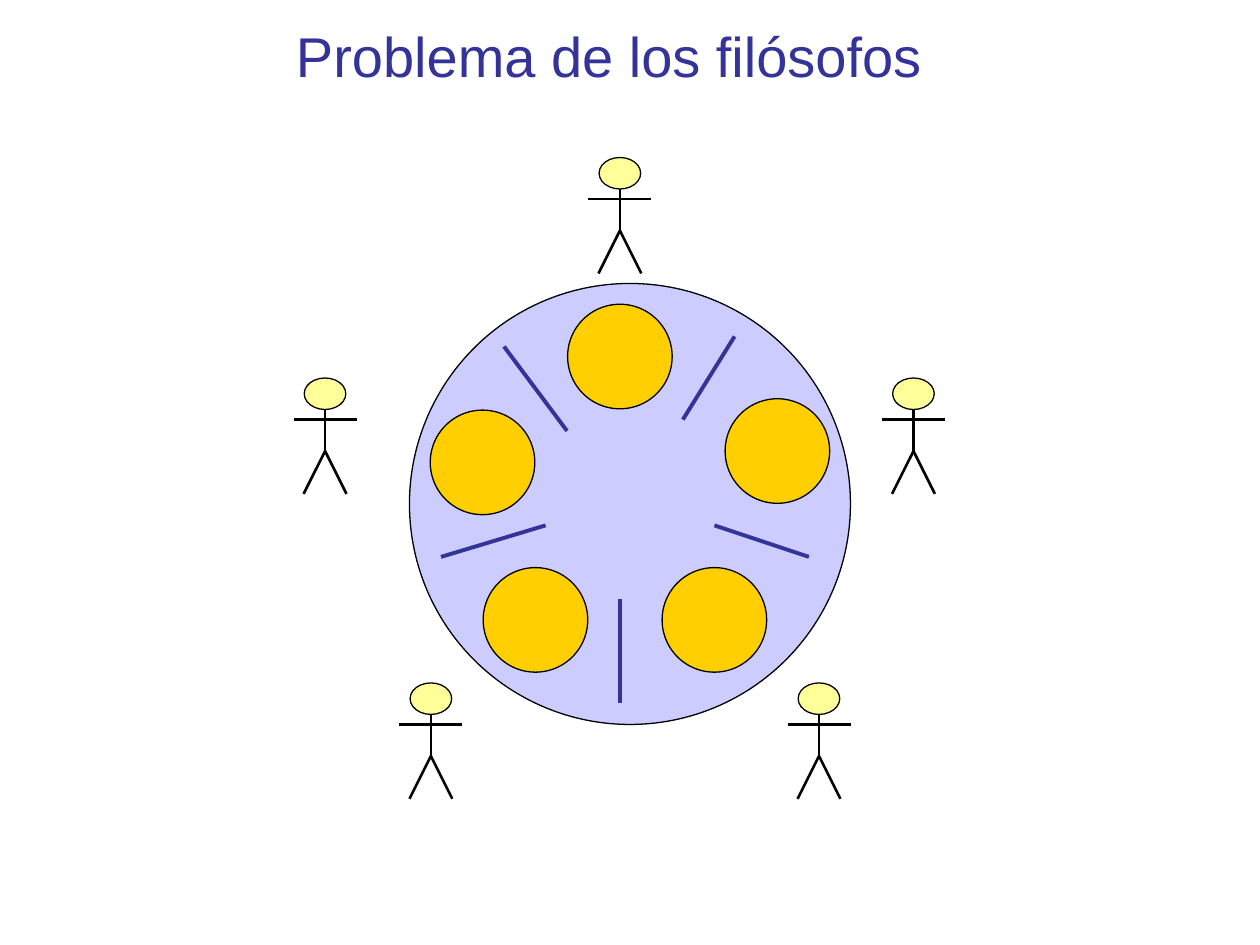
"""Build the dining philosophers slide: a table, plates, forks and five people."""
from typing import NamedTuple

from lxml import etree
from pptx import Presentation
from pptx.dml.color import RGBColor
from pptx.enum.shapes import MSO_CONNECTOR, MSO_SHAPE
from pptx.enum.text import MSO_ANCHOR, PP_ALIGN
from pptx.oxml.ns import qn
from pptx.shapes.shapetree import GroupShapes, SlideShapes
from pptx.util import Inches, Pt

OVAL = MSO_SHAPE.OVAL
STRAIGHT = MSO_CONNECTOR.STRAIGHT
CENTER = PP_ALIGN.CENTER
BOTTOM = MSO_ANCHOR.BOTTOM

BLACK = "000000"
INDIGO = "333399"
TABLE_FILL = "CCCCFF"
PLATE_FILL = "FFCF01"
HEAD_FILL = "FFFF99"

TABLE_SIZE = 3.5
PLATE_SIZE = 0.83
HEAD_WIDTH, HEAD_HEIGHT = 0.33, 0.25


class Point(NamedTuple):
    """A position on the slide in inches."""
    x: float
    y: float


class Fork(NamedTuple):
    """The two ends of a fork."""
    start: Point
    end: Point


TABLE_CENTER = Point(5, 4)
PLATE_CENTERS = [
    Point(4.92, 2.83), Point(3.83, 3.67), Point(6.17, 3.58),
    Point(5.67, 4.92), Point(4.25, 4.92),
]
FORKS = [
    Fork(Point(3.5, 4.42), Point(4.33, 4.17)),
    Fork(Point(4, 2.75), Point(4.5, 3.42)),
    Fork(Point(5.42, 3.33), Point(5.83, 2.67)),
    Fork(Point(5.67, 4.17), Point(6.42, 4.42)),
    Fork(Point(4.92, 5.58), Point(4.92, 4.75)),
]
PHILOSOPHER_TOPS = [
    Point(4.92, 1.25), Point(2.58, 3), Point(3.42, 5.42),
    Point(7.25, 3), Point(6.5, 5.42),
]


def color(hex_value: str) -> RGBColor:
    """Turn a hex string into a colour."""
    return RGBColor.from_string(hex_value)


def draw_oval(shapes: SlideShapes | GroupShapes, center: Point,
              width: float, height: float, fill: str) -> None:
    """Draw a filled oval with a thin black outline around its centre."""
    oval = shapes.add_shape(
        OVAL, Inches(center.x - width / 2), Inches(center.y - height / 2),
        Inches(width), Inches(height))
    oval.shadow.inherit = False
    oval.fill.solid()
    oval.fill.fore_color.rgb = color(fill)
    oval.line.color.rgb = color(BLACK)
    oval.line.width = Pt(0.75)


def draw_line(shapes: SlideShapes | GroupShapes, start: Point, end: Point,
              stroke: str, width: float) -> None:
    """Draw a straight line without a shadow."""
    line = shapes.add_connector(
        STRAIGHT, Inches(start.x), Inches(start.y), Inches(end.x), Inches(end.y))
    line.line.color.rgb = color(stroke)
    line.line.width = Pt(width)
    etree.SubElement(line._element.spPr, qn("a:effectLst"))


def draw_philosopher(shapes: SlideShapes, top: Point) -> None:
    """Draw a grouped stick figure below the top of its head."""
    x, y = top
    figure = shapes.add_group_shape().shapes
    neck, hip = Point(x, y + HEAD_HEIGHT), Point(x, y + 0.58)
    left_foot, right_foot = Point(x - 0.17, y + 0.92), Point(x + 0.17, y + 0.92)
    left_hand, right_hand = Point(x - 0.25, y + 0.33), Point(x + 0.25, y + 0.33)
    draw_oval(figure, Point(x, y + HEAD_HEIGHT / 2),
              HEAD_WIDTH, HEAD_HEIGHT, HEAD_FILL)
    for start, end in ((neck, hip), (hip, left_foot), (hip, right_foot),
                       (left_hand, right_hand)):
        draw_line(figure, start, end, BLACK, 1.5)


def draw_title(shapes: SlideShapes, text: str) -> None:
    """Write the centred slide title."""
    title = shapes.add_textbox(
        Inches(0.67), Inches(0.08), Inches(8.33), Inches(0.67))
    frame = title.text_frame
    frame.word_wrap = True
    frame.vertical_anchor = BOTTOM
    paragraph = frame.paragraphs[0]
    paragraph.text = text
    paragraph.alignment = CENTER
    paragraph.font.name = "Arial"
    paragraph.font.size = Pt(32)
    paragraph.font.color.rgb = color(INDIGO)


def main() -> None:
    """Build and save the slide."""
    presentation = Presentation()
    presentation.slide_width = Inches(10)
    presentation.slide_height = Inches(7.5)
    shapes = presentation.slides.add_slide(presentation.slide_layouts[6]).shapes

    draw_title(shapes, "Problema de los filósofos")
    draw_oval(shapes, TABLE_CENTER, TABLE_SIZE, TABLE_SIZE, TABLE_FILL)
    for center in PLATE_CENTERS:
        draw_oval(shapes, center, PLATE_SIZE, PLATE_SIZE, PLATE_FILL)
    for fork in FORKS:
        draw_line(shapes, fork.start, fork.end, INDIGO, 2.25)
    for top in PHILOSOPHER_TOPS:
        draw_philosopher(shapes, top)

    presentation.save("out.pptx")


if __name__ == "__main__":
    main()
